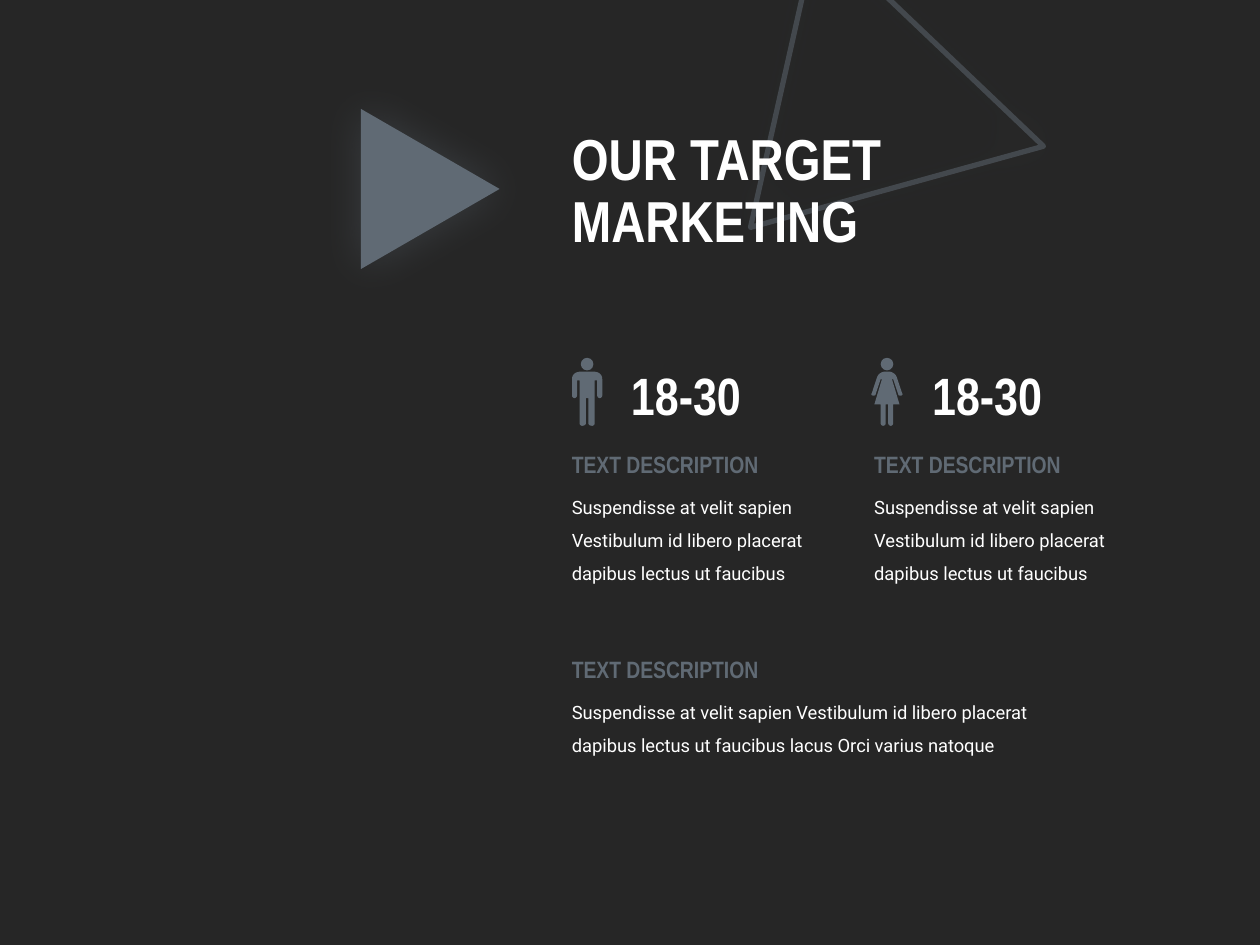
from lxml.etree import SubElement
from pptx import Presentation
from pptx.dml.color import RGBColor
from pptx.enum.shapes import MSO_SHAPE
from pptx.enum.text import MSO_ANCHOR
from pptx.oxml.ns import qn
from pptx.util import Inches, Pt

# Theme: colours and text styles
THEME = {
    "back": RGBColor.from_string("262626"),
    "slate": RGBColor.from_string("606A74"),
    "white": RGBColor.from_string("FFFFFF"),
    "title": {"name": "Arial Narrow", "size": Pt(33), "bold": True},
    "age": {"name": "Arial Narrow", "size": Pt(30), "bold": True},
    "head": {"name": "Arial Narrow", "size": Pt(13.5), "bold": True},
    "body": {"name": "Roboto", "size": Pt(10.5), "bold": False},
}


def add_text(box, lines, style, color="white", space=1.0, anchor=MSO_ANCHOR.TOP):
    frame = slide.shapes.add_textbox(*map(Inches, box)).text_frame
    frame.word_wrap = True
    frame.vertical_anchor = anchor
    para = frame.paragraphs[0]
    para.line_spacing = space
    for row, line in enumerate(lines):
        if row:
            para.add_line_break()
        run = para.add_run()
        run.text = line
        for key, value in THEME[style].items():
            setattr(run.font, key, value)
        run.font.color.rgb = THEME[color]


def add_glow(shape):
    effects = SubElement(shape._element.spPr, qn("a:effectLst"))
    shadow = SubElement(effects, qn("a:outerShdw"), blurRad=str(Pt(25)),
                        dist="0", dir="0", algn="ctr", rotWithShape="0")
    color = SubElement(shadow, qn("a:srgbClr"), val=str(THEME["slate"]))
    SubElement(color, qn("a:alpha"), val="35000")


deck = Presentation()
deck.slide_width, deck.slide_height = Inches(10), Inches(7.5)
slide = deck.slides.add_slide(deck.slide_layouts[6])
slide.background.fill.solid()
slide.background.fill.fore_color.rgb = THEME["back"]

# Outlined triangle behind the title
frame = slide.shapes.add_shape(MSO_SHAPE.ISOSCELES_TRIANGLE,
                               *map(Inches, (5.43, 0.02, 2.48, 2.07)))
frame.rotation = 223.6
frame.fill.background()
frame.line.color.rgb = THEME["slate"]
frame.line.width = Pt(3)
tint = frame.line.fill._xPr.find(qn("a:solidFill"))[0]
SubElement(tint, qn("a:alpha"), val="50000")
add_glow(frame)

# Title
add_text((4.44, 0.74, 4.22, 1.58), ["OUR TARGET", "MARKETING"], "title",
         space=0.9, anchor=MSO_ANCHOR.MIDDLE)

# Solid triangle
arrow = slide.shapes.add_shape(MSO_SHAPE.ISOSCELES_TRIANGLE,
                               *map(Inches, (2.78, 0.95, 1.27, 1.1)))
arrow.rotation = 90
arrow.fill.solid()
arrow.fill.fore_color.rgb = THEME["slate"]
arrow.line.fill.background()
add_glow(arrow)

# Right half of each figure, as offsets from its centre line:
# two numbers make a corner, six make a curve
MAN = [
    (0, 2.95), (0.05, 2.95), (0.09, 2.95, 0.12, 2.97, 0.12, 3.01),
    (0.12, 3.14), (0.12, 3.15, 0.11, 3.16, 0.1, 3.16),
    (0.09, 3.16, 0.08, 3.15, 0.08, 3.14), (0.08, 3.02), (0.06, 3.02),
    (0.06, 3.36), (0.06, 3.37, 0.05, 3.38, 0.04, 3.38),
    (0.02, 3.38, 0.01, 3.37, 0.01, 3.36), (0.01, 3.16), (0, 3.16),
]
WOMAN = [
    (0, 2.95), (0.02, 2.95), (0.03, 2.95, 0.07, 2.96, 0.08, 3),
    (0.12, 3.12), (0.13, 3.13, 0.12, 3.14, 0.11, 3.14),
    (0.1, 3.14, 0.09, 3.14, 0.09, 3.13), (0.05, 3.01), (0.04, 3.01),
    (0.1, 3.21), (0.05, 3.21), (0.05, 3.36),
    (0.05, 3.37, 0.04, 3.38, 0.03, 3.38),
    (0.02, 3.38, 0.01, 3.37, 0.01, 3.36), (0.01, 3.21), (0, 3.21),
]
STEPS = 8
for mid, half in ((4.66, MAN), (7.04, WOMAN)):
    side = []
    for part in half:
        if len(part) == 2:
            side.append(part)
            continue
        start, one, two, end = side[-1], part[:2], part[2:4], part[4:]
        for step in range(1, STEPS + 1):
            t = step / STEPS
            u = 1 - t
            side.append(tuple(
                u**3 * a + 3 * u * u * t * b + 3 * u * t * t * c + t**3 * d
                for a, b, c, d in zip(start, one, two, end)))
    whole = side + [(-x, y) for x, y in reversed(side)]
    dots = [(Inches(mid + x), Inches(y)) for x, y in whole]
    group = slide.shapes.add_group_shape()
    head = group.shapes.add_shape(MSO_SHAPE.OVAL, Inches(mid - 0.05),
                                  Inches(2.84), Inches(0.1), Inches(0.1))
    pen = group.shapes.build_freeform(*dots[0])
    pen.add_line_segments(dots[1:], close=True)
    for shape in (head, pen.convert_to_shape()):
        shape.shadow.inherit = False
        shape.fill.solid()
        shape.fill.fore_color.rgb = THEME["slate"]
        shape.line.fill.background()

# Ages beside the figures
for left in (4.91, 7.3):
    add_text((left, 2.83, 1.34, 0.61), ["18-30"], "age")

# Headed text blocks
SHORT = ("Suspendisse at velit sapien Vestibulum id libero placerat "
         "dapibus lectus ut faucibus")
LONG = SHORT + " lacus Orci varius natoque"
for left, top, width, height, words in (
    (4.44, 3.52, 2.14, 0.87, SHORT),
    (6.84, 3.52, 2.14, 0.87, SHORT),
    (4.44, 5.15, 3.85, 0.6, LONG),
):
    add_text((left, top + 0.28, width, height), [words], "body", space=1.5)
    add_text((left, top, 1.84, 0.33), ["TEXT DESCRIPTION"], "head", "slate")

deck.save("out.pptx")
